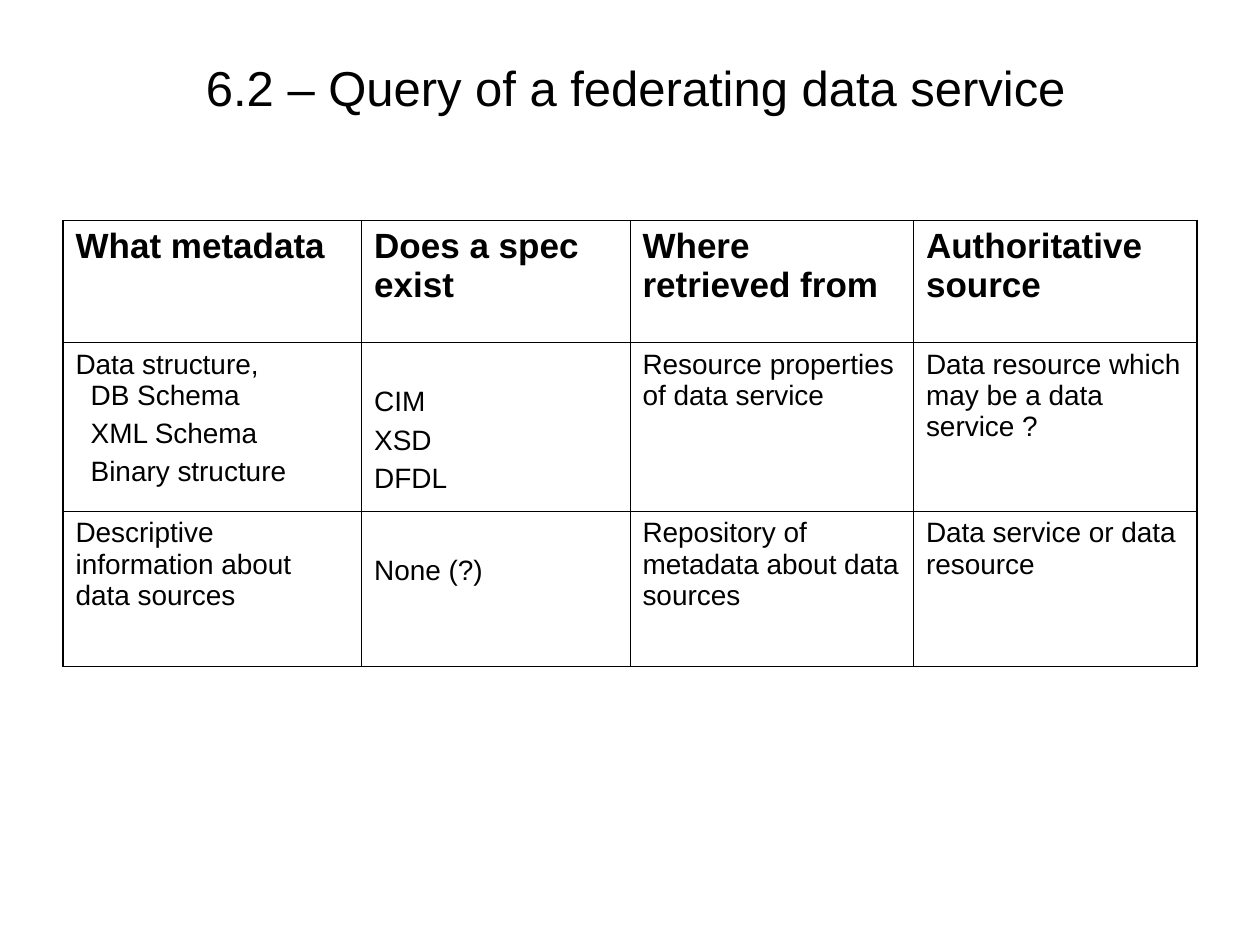
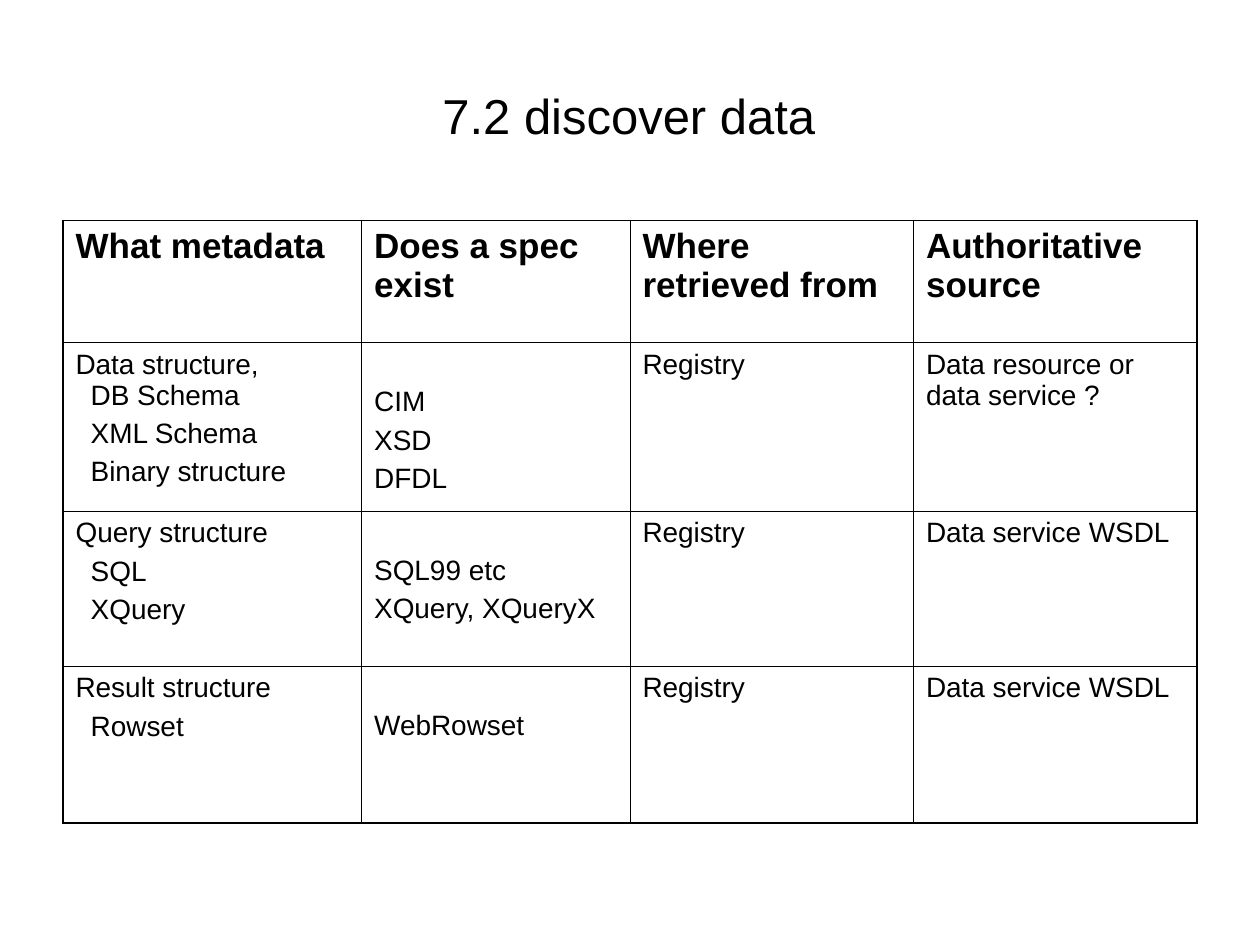
import copy

import pptx
import pptx.dml.color
import pptx.enum.text
import pptx.oxml
import pptx.oxml.ns
import pptx.util

COLORS = {"ink": "000000", "paper": "FFFFFF"}
FONT = "Arial"
GRID_COLS, GRID_ROWS = 40, 30
TITLE_BOX = (0.8, 1.16, 38.76, 5)       # left, top, width, height in grid units
TABLE_ORIGIN = (2, 7)
COL_WIDTHS = (9.48, 8.52, 9, 9)
ROW_HEIGHTS = (3.88, 5.36, 4.92, 4.96)
THIN, THICK = 0.45, 1.08                # border widths in points
INDENT = pptx.util.Inches(0.12)
SPEC_TOP = pptx.util.Inches(0.35)       # puts each spec beside the item it describes

HEADERS = ("What metadata", "Does a spec exist", "Where retrieved from",
           "Authoritative source")
DATA_STRUCTURE = ("Data structure,\vDB Schema\nXML Schema\nBinary structure",
                  "CIM\nXSD\nDFDL")
FEDERATED_ROWS = (
    HEADERS,
    (*DATA_STRUCTURE, "Resource properties of data service",
     "Data resource which may be a data service ?"),
    ("Descriptive information about data sources", "None (?)",
     "Repository of metadata about data sources",
     "Data service or data resource"),
)
DISCOVERY_ROWS = (
    HEADERS,
    (*DATA_STRUCTURE, "Registry", "Data resource or data service ?"),
    ("Query structure\nSQL\nXQuery", "SQL99 etc\nXQuery, XQueryX",
     "Registry", "Data service WSDL"),
    ("Result structure\nRowset", "WebRowset", "Registry", "Data service WSDL"),
)


def rgb(name):
    return pptx.dml.color.RGBColor.from_string(COLORS[name])


def write(tf, text, size=16, bold=False, align="LEFT", indent=0):
    """Fill a frame; lines below the first, or after a line break, are indented."""
    tf.word_wrap = True
    for i, line in enumerate(text.split("\n")):
        p = tf.add_paragraph() if i else tf.paragraphs[0]
        p.text = line
        p.alignment = getattr(pptx.enum.text.PP_ALIGN, align)
        p.space_before = pptx.util.Pt(4 if i else 0)
        if indent and (i or "\v" in line):
            pPr = p._p.get_or_add_pPr()
            pPr.set("marL", str(indent))
            pPr.set("indent", str(0 if i else -indent))
        for r in p.runs:
            r.font.name = FONT
            r.font.size = pptx.util.Pt(size)
            r.font.bold = bold
            r.font.color.rgb = rgb("ink")
        for br in p._p.findall(pptx.oxml.ns.qn("a:br")):
            br.insert(0, copy.deepcopy(p.runs[0]._r.rPr))


def set_borders(cell, outer_sides):
    tcPr = cell._tc.get_or_add_tcPr()
    for side in "LRTB":
        width = pptx.util.Pt(THICK if side in outer_sides else THIN)
        tcPr.append(pptx.oxml.parse_xml(
            f'<a:ln{side} {pptx.oxml.ns.nsdecls("a")} w="{width}"><a:solidFill>'
            f'<a:srgbClr val="{COLORS["ink"]}"/></a:solidFill></a:ln{side}>'))


def add_title(sp, box, text, right=0.1, bottom=0.05):
    sp.left, sp.top, sp.width, sp.height = box
    tf = sp.text_frame
    tf.auto_size = pptx.enum.text.MSO_AUTO_SIZE.NONE
    tf.vertical_anchor = pptx.enum.text.MSO_ANCHOR.MIDDLE
    tf.margin_right = pptx.util.Inches(right)
    tf.margin_bottom = pptx.util.Inches(bottom)
    write(tf, text, size=28, align="CENTER")


def add_metadata_table(slide, box, rows, unit):
    n_rows, n_cols = len(rows), len(HEADERS)
    table = slide.shapes.add_table(n_rows, n_cols, *box).table
    table.first_row = table.horz_banding = False
    for column, width in zip(table.columns, COL_WIDTHS):
        column.width = int(width * unit)
    for row, height in zip(table.rows, ROW_HEIGHTS):
        row.height = int(height * unit)
    for i, row in enumerate(rows):
        for j, text in enumerate(row):
            cell = table.cell(i, j)
            edges = {"L": j == 0, "R": j == n_cols - 1,
                     "T": i == 0, "B": i == n_rows - 1}
            set_borders(cell, [side for side, outer in edges.items() if outer])
            cell.fill.background()
            if i == 0:
                write(cell.text_frame, text, size=20, bold=True)
                continue
            if j == 1:
                cell.margin_top = SPEC_TOP
            write(cell.text_frame, text, indent=INDENT if j == 0 else 0)


def add_metadata_slide(prs, title, rows, **title_margins):
    slide = prs.slides.add_slide(prs.slide_layouts[5])
    slide.background.fill.solid()
    slide.background.fill.fore_color.rgb = rgb("paper")
    unit = prs.slide_width / GRID_COLS
    table_box = (*TABLE_ORIGIN, sum(COL_WIDTHS), sum(ROW_HEIGHTS[:len(rows)]))
    title_emu, table_emu = ([int(v * unit) for v in box]
                            for box in (TITLE_BOX, table_box))
    add_title(slide.shapes.title, title_emu, title, **title_margins)
    add_metadata_table(slide, table_emu, rows, unit)


def main():
    prs = pptx.Presentation()
    prs.slide_width = pptx.util.Inches(10)
    prs.slide_height = prs.slide_width * GRID_ROWS // GRID_COLS
    add_metadata_slide(prs, "6.2 – Query of a federating data service",
                       FEDERATED_ROWS, bottom=0.5)
    add_metadata_slide(prs, "7.2 discover data", DISCOVERY_ROWS, right=0.21)
    prs.save("out.pptx")


if __name__ == "__main__":
    main()
